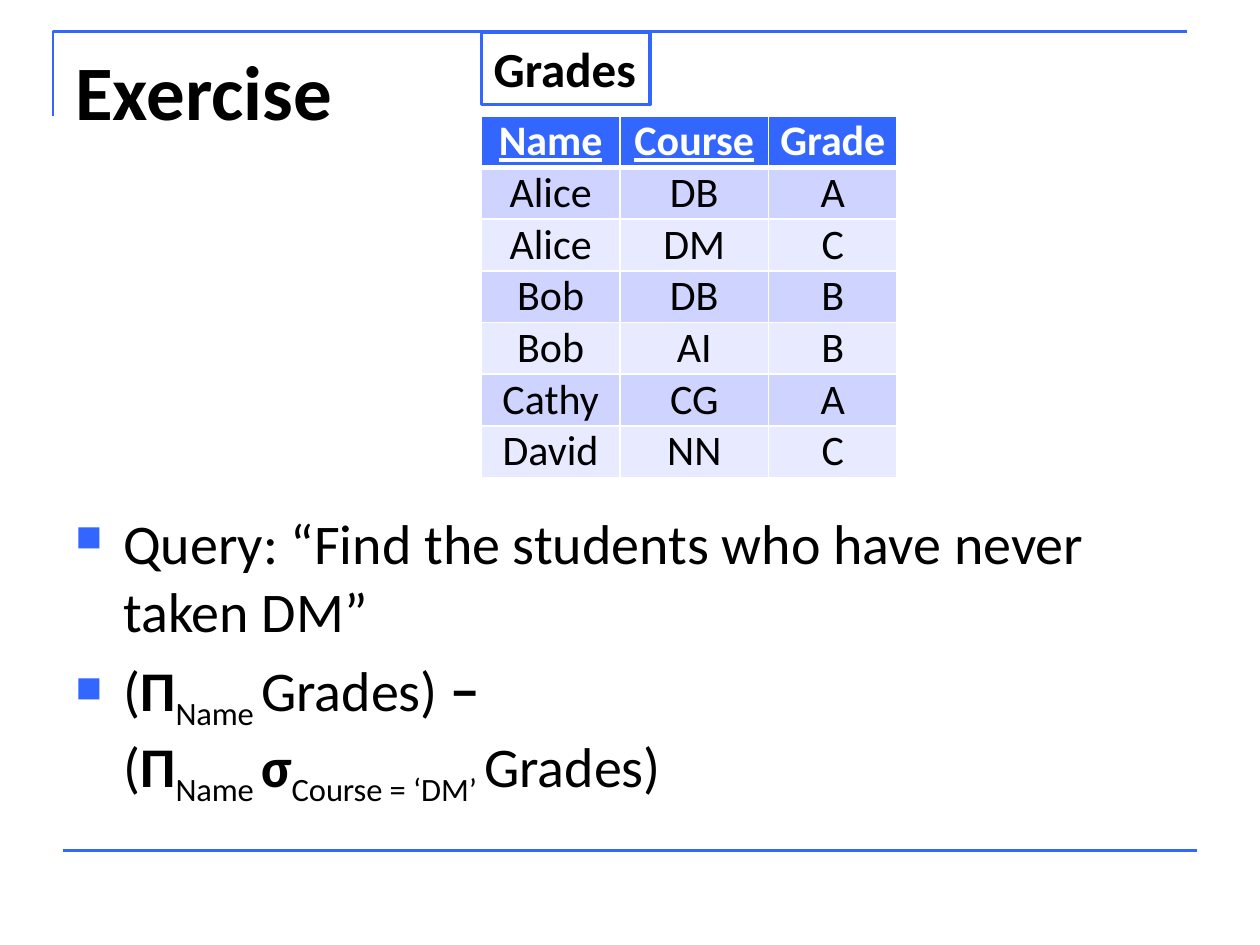
from pptx import Presentation
from pptx import util as u
from pptx.dml.color import RGBColor
from pptx.enum import shapes, text
from pptx.oxml.ns import qn
from lxml import etree

COLORS = {"accent": "3366FF", "ink": "000000", "paper": "FFFFFF",
          "band_dark": "CED3FF", "band_light": "E8EAFF"}
WIDTH, HEIGHT = 10, 7.5
MARGIN = 0.5
TABLE_LEFT, TABLE_TOP, ROW_HEIGHT = 3.82, 0.92, 0.41
COLUMN_WIDTHS = (1.1, 1.18, 1.02)
GRADES = [
    ("Name", "Course", "Grade"),
    ("Alice", "DB", "A"),
    ("Alice", "DM", "C"),
    ("Bob", "DB", "B"),
    ("Bob", "AI", "B"),
    ("Cathy", "CG", "A"),
    ("David", "NN", "C"),
]
KEY_COLUMNS = ("Name", "Course")
QUERY = [("Query: “Find the students who have never taken DM”", "plain")]
ANSWER = [
    ("(", "plain"), ("Π", "bold"), ("Name ", "sub"), ("Grades) ", "plain"),
    ("− ", "bold"), ("\n", "break"),
    ("(", "plain"), ("Π", "bold"), ("Name ", "sub"), ("σ", "bold"),
    ("Course = ‘DM’ ", "sub"), ("Grades)", "plain"),
]


def rgb(name):
    return RGBColor.from_string(COLORS[name])


def set_all(target, values):
    for name, value in values.items():
        setattr(target, name, value)


def add_run(paragraph, words, size, color="ink", **font_values):
    run = paragraph.add_run()
    run.text = words
    set_all(run.font, {"name": "Calibri", "size": u.Pt(size), **font_values})
    run.font.color.rgb = rgb(color)
    return run


def style_line(shape, width):
    shape.line.color.rgb = rgb("accent")
    shape.line.width = u.Pt(width)


def add_frame_lines(slide):
    """Draw the corner bracket above the title and the rule at the foot."""
    left, top = 0.42, 0.25
    builder = slide.shapes.build_freeform(u.Inches(left), u.Inches(0.92))
    builder.add_line_segments(
        [(u.Inches(left), u.Inches(top)), (u.Inches(left + 9), u.Inches(top))],
        close=False)
    bracket = builder.convert_to_shape()
    bracket.fill.background()
    bracket.shadow.inherit = False
    style_line(bracket, 1.5)

    foot = u.Inches(0.9 * HEIGHT)
    rule = slide.shapes.add_connector(
        shapes.MSO_CONNECTOR.STRAIGHT,
        u.Inches(MARGIN), foot, u.Inches(WIDTH - MARGIN), foot)
    style_line(rule, 1.5)
    etree.SubElement(rule._element.spPr, qn("a:effectLst"))


def add_text_box(slide, top, height):
    box = slide.shapes.add_textbox(
        u.Inches(MARGIN), u.Inches(top),
        u.Inches(WIDTH - 2 * MARGIN), u.Inches(height))
    box.text_frame.word_wrap = True
    return box.text_frame


def add_bullet(paragraph):
    properties = paragraph._p.get_or_add_pPr()
    properties.set("marL", str(u.Inches(0.38)))
    properties.set("indent", str(-u.Inches(0.38)))
    color = etree.SubElement(properties, qn("a:buClr"))
    etree.SubElement(color, qn("a:srgbClr"), val=COLORS["accent"])
    etree.SubElement(properties, qn("a:buSzPct"), val="65000")
    etree.SubElement(properties, qn("a:buChar"), char="■")


def add_bullets(slide, items):
    frame = add_text_box(slide, 3.99, 2.72)
    for index, pieces in enumerate(items):
        paragraph = frame.add_paragraph() if index else frame.paragraphs[0]
        if index:
            paragraph.space_before = u.Pt(6.8)
        add_bullet(paragraph)
        for words, kind in pieces:
            if kind == "break":
                paragraph.add_line_break()
                continue
            run = add_run(paragraph, words, 32, bold=kind == "bold")
            if kind == "sub":
                run._r.get_or_add_rPr().set("baseline", "-25000")


def add_borders(cell, bottom_width):
    properties = cell._tc.get_or_add_tcPr()
    widths = {"lnL": 1, "lnR": 1, "lnT": 1, "lnB": bottom_width}
    for side, width in widths.items():
        line = etree.SubElement(properties, qn(f"a:{side}"), w=str(u.Pt(width)))
        fill = etree.SubElement(line, qn("a:solidFill"))
        etree.SubElement(fill, qn("a:srgbClr"), val=COLORS["paper"])


def fill_cell(cell, words, row):
    header = row == 0
    set_all(cell, dict.fromkeys(
        ("margin_left", "margin_right", "margin_top", "margin_bottom"), 0))
    add_borders(cell, 3 if header else 1)
    cell.fill.solid()
    band = "band_dark" if row % 2 else "band_light"
    cell.fill.fore_color.rgb = rgb("accent" if header else band)
    paragraph = cell.text_frame.paragraphs[0]
    paragraph.alignment = text.PP_ALIGN.CENTER
    add_run(paragraph, words, 24, "paper" if header else "ink",
            bold=header, underline=header and words in KEY_COLUMNS)


def add_grades_table(slide):
    table = slide.shapes.add_table(
        len(GRADES), len(COLUMN_WIDTHS),
        u.Inches(TABLE_LEFT), u.Inches(TABLE_TOP),
        u.Inches(sum(COLUMN_WIDTHS)), u.Inches(ROW_HEIGHT * len(GRADES))).table
    for column, width in zip(table.columns, COLUMN_WIDTHS):
        column.width = u.Inches(width)
    for row, values in enumerate(GRADES):
        for column, words in enumerate(values):
            fill_cell(table.cell(row, column), words, row)


def add_table_label(slide, words):
    label = slide.shapes.add_shape(
        shapes.MSO_SHAPE.RECTANGLE, u.Inches(TABLE_LEFT), u.Inches(0.26),
        u.Inches(1.34), u.Inches(0.57))
    label.fill.background()
    label.shadow.inherit = False
    style_line(label, 2)
    set_all(label.text_frame, {"word_wrap": False,
                               "vertical_anchor": text.MSO_ANCHOR.TOP})
    paragraph = label.text_frame.paragraphs[0]
    paragraph.alignment = text.PP_ALIGN.LEFT
    add_run(paragraph, words, 28, bold=True)


def main():
    presentation = Presentation()
    set_all(presentation, {"slide_width": u.Inches(WIDTH),
                           "slide_height": u.Inches(HEIGHT)})
    slide = presentation.slides.add_slide(presentation.slide_layouts[6])
    add_frame_lines(slide)
    title = add_text_box(slide, 0.3, 1.25)
    add_run(title.paragraphs[0], "Exercise", 44, bold=True)
    add_bullets(slide, [QUERY, ANSWER])
    add_grades_table(slide)
    add_table_label(slide, "Grades")
    presentation.save("out.pptx")


if __name__ == "__main__":
    main()
